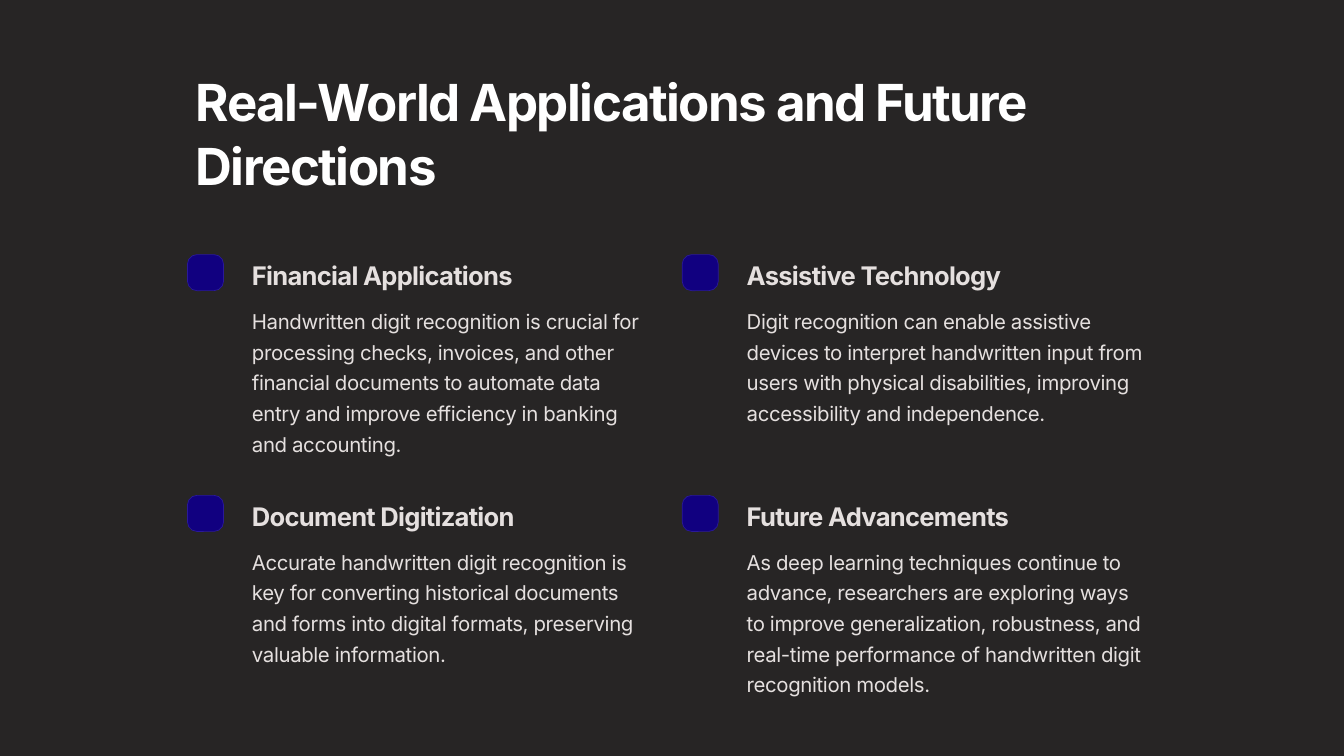
import pptx
import pptx.dml.color
import pptx.enum.shapes
import pptx.util

Cm, Pt = pptx.util.Cm, pptx.util.Pt
SHAPES = pptx.enum.shapes.MSO_SHAPE

COLORS = {
    "background": "272525",
    "title": "FFFFFF",
    "text": "E5E0DF",
    "badge": "110080",
    "badge_line": "2A1999",
}
SLIDE_WIDTH, SLIDE_HEIGHT = 40.64, 22.86


def rgb(name):
    return pptx.dml.color.RGBColor.from_string(COLORS[name])


class SlideBuilder:
    font = "Inter"

    def __init__(self, slide):
        self.slide = slide

    def shape(self, kind, left, top, width, height, color):
        shape = self.slide.shapes.add_shape(
            kind, Cm(left), Cm(top), Cm(width), Cm(height))
        shape.shadow.inherit = False
        shape.fill.solid()
        shape.fill.fore_color.rgb = rgb(color)
        shape.line.fill.background()
        return shape

    def badge(self, left, top, side):
        badge = self.shape(SHAPES.ROUNDED_RECTANGLE, left, top, side, side, "badge")
        badge.adjustments[0] = 0.26
        badge.line.color.rgb = rgb("badge_line")
        badge.line.width = Pt(0.6)

    def text(self, left, top, width, height, words, size, leading, spacing,
             color="text", bold=False):
        box = self.slide.shapes.add_textbox(Cm(left), Cm(top), Cm(width), Cm(height))
        box.text_frame.word_wrap = True
        paragraph = box.text_frame.paragraphs[0]
        paragraph.line_spacing = Pt(leading)
        run = paragraph.add_run()
        run.text = words
        run.font.name = self.font
        run.font.size = Pt(size)
        run.font.bold = bold
        run.font.color.rgb = rgb(color)
        # Letter spacing, in hundredths of a point
        run._r.get_or_add_rPr().set("spc", str(spacing))


# Heading, body, body line count; read row by row
APPLICATIONS = [
    ("Financial Applications",
     "Handwritten digit recognition is crucial for processing checks, invoices, "
     "and other financial documents to automate data entry and improve "
     "efficiency in banking and accounting.", 5),
    ("Assistive Technology",
     "Digit recognition can enable assistive devices to interpret handwritten "
     "input from users with physical disabilities, improving accessibility and "
     "independence.", 4),
    ("Document Digitization",
     "Accurate handwritten digit recognition is key for converting historical "
     "documents and forms into digital formats, preserving valuable "
     "information.", 4),
    ("Future Advancements",
     "As deep learning techniques continue to advance, researchers are exploring "
     "ways to improve generalization, robustness, and real-time performance of "
     "handwritten digit recognition models.", 5),
]
MARGIN, GRID_TOP = 5.67, 7.7
COLUMN_STEP, ROW_STEP = 14.96, 7.28
TEXT_INDENT, BODY_DROP = 1.7, 1.34
HEADING_WIDTH, BODY_WIDTH, BODY_LINE = 8.8, 12.65, 0.92


def main():
    presentation = pptx.Presentation()
    presentation.slide_width = Cm(SLIDE_WIDTH)
    presentation.slide_height = Cm(SLIDE_HEIGHT)
    builder = SlideBuilder(presentation.slides.add_slide(presentation.slide_layouts[6]))

    # Dark backdrop and title
    builder.shape(SHAPES.RECTANGLE, 0, 0, SLIDE_WIDTH, SLIDE_HEIGHT, "background")
    builder.text(MARGIN, 1.93, 29.31, 3.86,
                 "Real-World Applications and Future Directions",
                 43.75, 54.69, -131, color="title", bold=True)

    # Two-by-two grid of applications
    for index, (heading, body, lines) in enumerate(APPLICATIONS):
        row, column = divmod(index, 2)
        left = MARGIN + column * COLUMN_STEP
        top = GRID_TOP + row * ROW_STEP
        builder.badge(left, top, 1.09)
        builder.text(left + TEXT_INDENT, top, HEADING_WIDTH, 0.97, heading,
                     21.88, 27.34, -66, bold=True)
        builder.text(left + TEXT_INDENT, top + BODY_DROP, BODY_WIDTH,
                     lines * BODY_LINE, body, 17.5, 26.25, -35)

    presentation.save("out.pptx")


if __name__ == "__main__":
    main()
